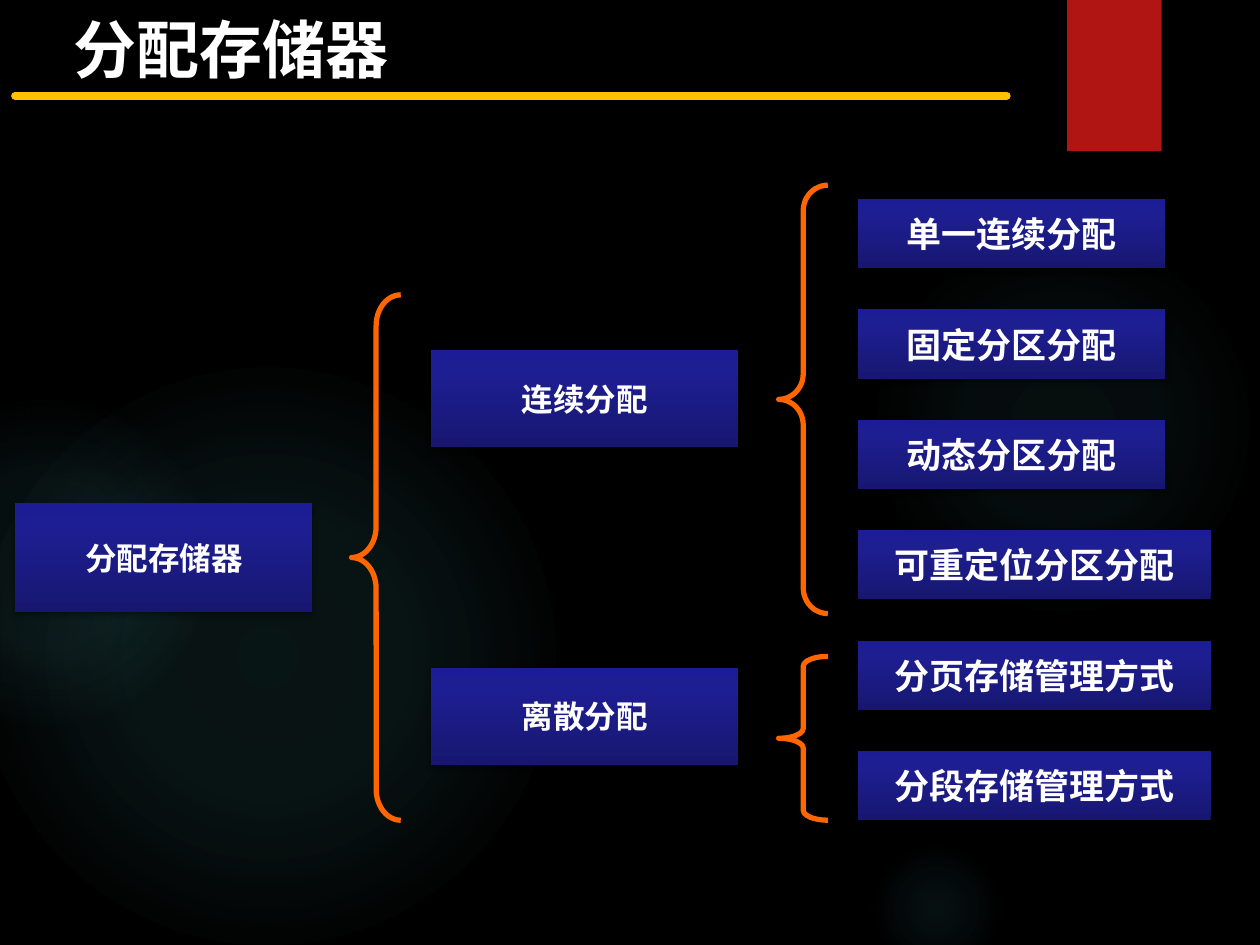
from lxml import etree
from pptx import Presentation
from pptx import util as u
from pptx.dml.color import RGBColor
from pptx.enum import shapes, text
from pptx.oxml import parse_xml
from pptx.oxml.ns import nsdecls, qn

THEME = {
    "font": "Noto Sans CJK SC", "text": "FFFFFF", "page": "000000",
    "glow": "50B9C1", "accent": "B01513", "rule": "FFC000", "brace": "FF6600",
    "box": [(0, "171771", 100), (80, "1E1E93", 100), (100, "1C1C96", 100)],
    "title_size": 36, "branch_size": 18, "leaf_size": 20,
    "rule_width": 4.5, "brace_width": 3,
    "box_shadow": (35, 3.1, 1.8), "accent_shadow": (45, 3, 2),
}
TITLE = "分配存储器"
GLOWS = [
    ((6.89, 1.83, 3.08), [(0, 7), (36, 6), (69, 0)]),
    ((6.89, 6.67, 1.08), [(0, 9), (36, 5), (66, 0)]),
    ((-0.17, 2.92, 4.58), [(0, 11), (36, 10), (75, 0)]),
    ((-0.92, 3.17, 2.58), [(0, 8), (36, 8), (72, 0)]),
]
BRANCHES = [
    ("分配存储器", (0.12, 3.99, 2.36, 0.87)),
    ("连续分配", (3.42, 2.78, 2.44, 0.77)),
    ("离散分配", (3.42, 5.3, 2.44, 0.77)),
]
LEAVES = ["单一连续分配", "固定分区分配", "动态分区分配",
          "可重定位分区分配", "分页存储管理方式", "分段存储管理方式"]
LEAF_LEFT, LEAF_TOP, LEAF_STEP, LEAF_HEIGHT = 6.81, 1.58, 0.876, 0.55
SHORT_LEAF, LONG_LEAF = 2.44, 2.8
BRACES = [
    ((2.79, 2.34, 0.39, 4.17), 0.63),
    ((6.18, 1.47, 0.39, 3.4), 0.52),
    ((6.18, 5.21, 0.39, 1.3), 0.2),
]


def inches(values):
    return [u.Inches(value) for value in values]


def color(name):
    return RGBColor.from_string(THEME[name])


def add_shape(page, kind, at):
    shape = page.shapes.add_shape(kind, *inches(at))
    shape.shadow.inherit = False
    shape.line.fill.background()
    return shape


def fill_gradient(shape, stops, direction):
    marks = "".join(
        f'<a:gs pos="{place * 1000}"><a:srgbClr val="{tone}">'
        f'<a:alpha val="{alpha * 1000}"/></a:srgbClr></a:gs>'
        for place, tone, alpha in stops)
    shape._element.spPr.insert(2, parse_xml(
        f'<a:gradFill {nsdecls("a")} rotWithShape="1"><a:gsLst>{marks}</a:gsLst>'
        f'{direction}</a:gradFill>'))


def add_shadow(shape, alpha, blur, distance):
    shape._element.spPr.find(qn("a:effectLst")).append(parse_xml(
        f'<a:outerShdw {nsdecls("a")} blurRad="{u.Pt(blur)}" dist="{u.Pt(distance)}" '
        f'dir="5400000" rotWithShape="0"><a:srgbClr val="000000">'
        f'<a:alpha val="{alpha * 1000}"/></a:srgbClr></a:outerShdw>'))


def write(shape, words, size, wrap):
    frame = shape.text_frame
    formats = {"word_wrap": wrap, "auto_size": text.MSO_AUTO_SIZE.NONE,
               "vertical_anchor": text.MSO_ANCHOR.MIDDLE}
    for name, value in formats.items():
        setattr(frame, name, value)
    para = frame.paragraphs[0]
    para.alignment = text.PP_ALIGN.CENTER
    span = para.add_run()
    span.text = words
    formats = {"name": THEME["font"], "size": u.Pt(THEME[size]), "bold": True}
    for name, value in formats.items():
        setattr(span.font, name, value)
    span.font.color.rgb = color("text")
    east = etree.SubElement(span._r.get_or_add_rPr(), qn("a:ea"))
    east.set("typeface", THEME["font"])


def add_box(page, words, at, size):
    box = add_shape(page, shapes.MSO_SHAPE.RECTANGLE, at)
    fill_gradient(box, THEME["box"], '<a:lin ang="16200000" scaled="0"/>')
    add_shadow(box, *THEME["box_shadow"])
    write(box, words, size, False)


def add_backdrop(page):
    center = ('<a:path path="circle"><a:fillToRect l="50000" t="50000" '
              'r="50000" b="50000"/></a:path>')
    for (left, top, side), stops in GLOWS:
        glow = add_shape(page, shapes.MSO_SHAPE.OVAL, (left, top, side, side))
        fill_gradient(glow, [(place, THEME["glow"], alpha) for place, alpha in stops], center)
    accent = add_shape(page, shapes.MSO_SHAPE.RECTANGLE, (8.47, 0, 0.75, 1.2))
    accent.fill.solid()
    accent.fill.fore_color.rgb = color("accent")
    add_shadow(accent, *THEME["accent_shadow"])
    rule = page.shapes.add_connector(
        shapes.MSO_CONNECTOR.STRAIGHT, *inches((0.12, 0.76, 7.99, 0.76)))
    rule.line.color.rgb = color("rule")
    rule.line.width = u.Pt(THEME["rule_width"])
    rule.line._get_or_add_ln().set("cap", "rnd")
    etree.SubElement(rule._element.spPr, qn("a:effectLst"))


def add_title(page):
    title = page.shapes.title
    places = zip(("left", "top", "width", "height"), inches((0.01, 0.03, 3.65, 0.71)))
    for name, value in places:
        setattr(title, name, value)
    write(title, TITLE, "title_size", True)


def add_tree(page):
    for words, at in BRANCHES:
        add_box(page, words, at, "branch_size")
    for row, words in enumerate(LEAVES):
        width = LONG_LEAF if len(words) > 6 else SHORT_LEAF
        at = (LEAF_LEFT, LEAF_TOP + row * LEAF_STEP, width, LEAF_HEIGHT)
        add_box(page, words, at, "leaf_size")
    for at, curve in BRACES:
        brace = add_shape(page, shapes.MSO_SHAPE.LEFT_BRACE, at)
        brace.adjustments[0] = curve
        brace.fill.background()
        brace.line.color.rgb = color("brace")
        brace.line.width = u.Pt(THEME["brace_width"])


def main():
    deck = Presentation()
    deck.slide_width, deck.slide_height = inches((10, 7.5))
    page = deck.slides.add_slide(deck.slide_layouts[5])
    page.background.fill.solid()
    page.background.fill.fore_color.rgb = color("page")
    add_backdrop(page)
    add_title(page)
    add_tree(page)
    deck.save("out.pptx")


if __name__ == "__main__":
    main()
